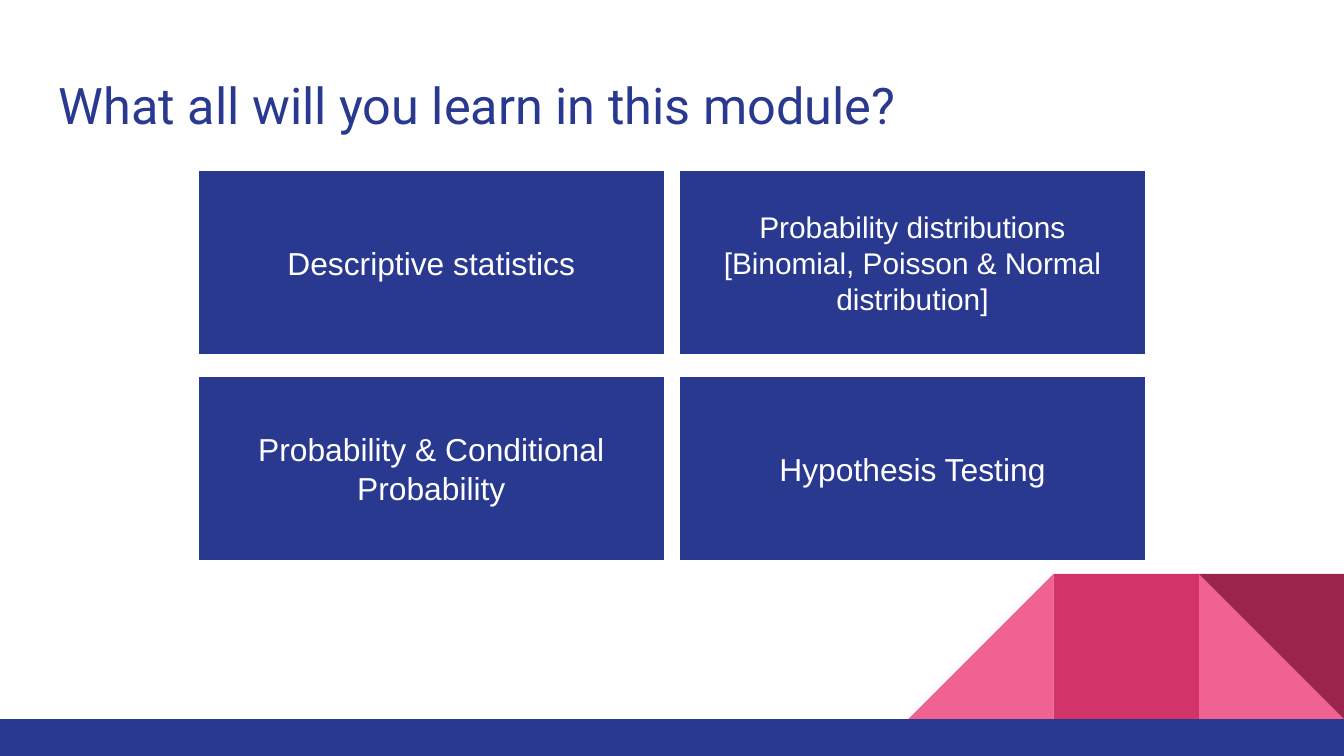
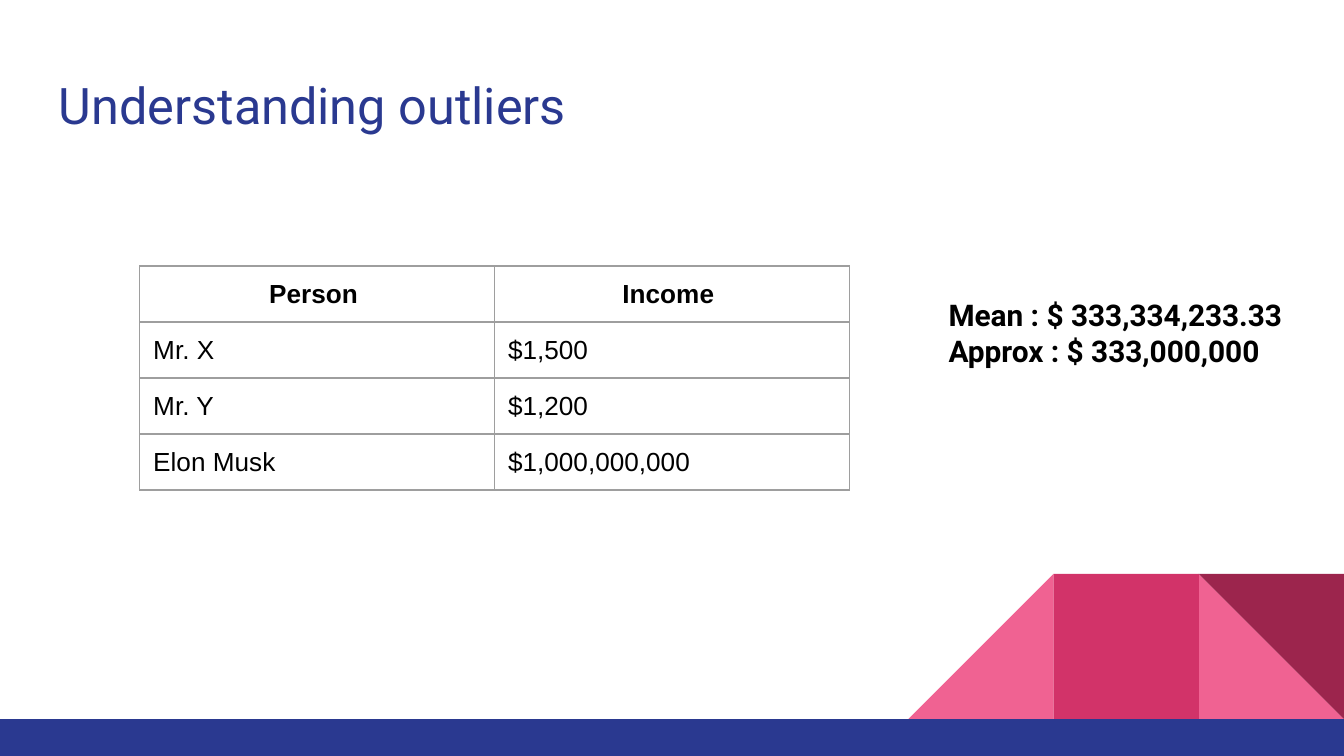
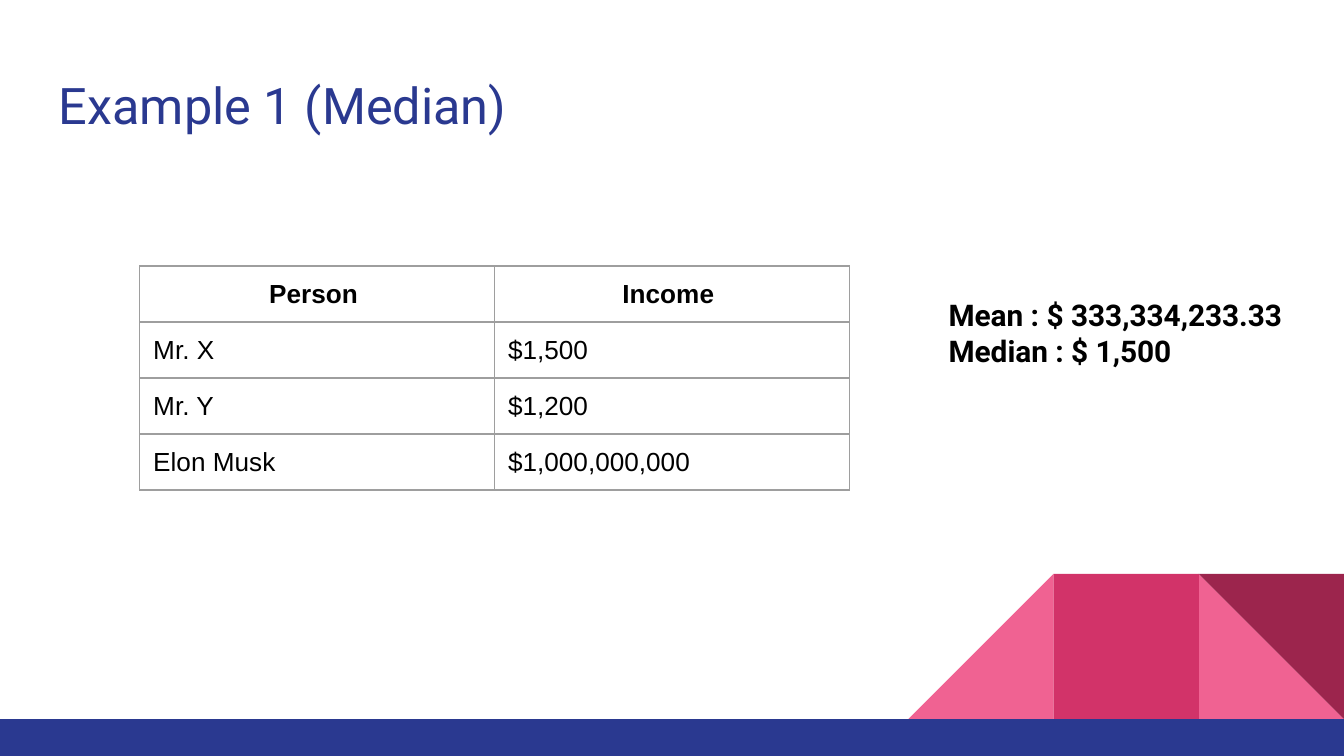
from lxml.etree import SubElement
from pptx import Presentation
from pptx.dml.color import RGBColor
from pptx.enum.shapes import MSO_SHAPE as Shape
from pptx.enum.text import MSO_ANCHOR as Anchor, PP_ALIGN as Align
from pptx.oxml.ns import qn
from pptx.util import Inches, Pt

BLUE = RGBColor(0x2A, 0x39, 0x90)
PINK = RGBColor(0xF0, 0x62, 0x92)
ROSE = RGBColor(0xD2, 0x33, 0x69)
WINE = RGBColor(0x9C, 0x25, 0x4D)
GREY = RGBColor(0x9E, 0x9E, 0x9E)
WHITE = RGBColor(0xFF, 0xFF, 0xFF)
BLACK = RGBColor(0, 0, 0)

SLIDE_W = 10
SLIDE_H = SLIDE_W * 9 / 16
BAND_TOP = 5.35
PANEL = 1.08
INSET = Inches(0.1)

TOPICS_TITLE = "What all will you learn in this module?"
# Rows of (topic, text size)
TOPICS = [
    [("Descriptive statistics", 17),
     ("Probability distributions [Binomial, Poisson & Normal distribution]", 16)],
    [("Probability & Conditional Probability", 17),
     ("Hypothesis Testing", 17)],
]

INCOMES = [
    ("Person ", "Income "),
    ("Mr. X", "$1,500"),
    ("Mr. Y", "$1,200"),
    ("Elon Musk", "$1,000,000,000"),
]
INCOME_PAGES = [
    ("Understanding outliers",
     ["Mean : $ 333,334,233.33", "Approx : $ 333,000,000"]),
    ("Example 1 (Median)",
     ["Mean : $ 333,334,233.33", "Median : $ 1,500"]),
]

# Corner panels: shape, columns from the right edge, colour, rotation, mirrored
CORNER = [
    (Shape.RIGHT_TRIANGLE, 1, PINK, 0, False),
    (Shape.RIGHT_TRIANGLE, 3, PINK, 0, True),
    (Shape.RECTANGLE, 2, ROSE, 0, False),
    (Shape.RIGHT_TRIANGLE, 1, WINE, 180, False),
]


def write(frame, lines, size, color, font="Arial", bold=False,
          align=Align.LEFT, anchor=Anchor.TOP):
    frame.word_wrap = True
    frame.vertical_anchor = anchor
    frame.margin_left = frame.margin_right = INSET
    frame.margin_top = frame.margin_bottom = INSET
    for index, line in enumerate(lines):
        para = frame.add_paragraph() if index else frame.paragraphs[0]
        para.alignment = align
        span = para.add_run()
        span.text = line
        span.font.name, span.font.size = font, Pt(size)
        span.font.bold, span.font.color.rgb = bold, color


def add_text(page, lines, left, top, width, height, **style):
    box = page.shapes.add_textbox(*map(Inches, (left, top, width, height)))
    write(box.text_frame, lines, **style)


def add_block(page, kind, left, top, width, height, fill, line=None):
    block = page.shapes.add_shape(kind, *map(Inches, (left, top, width, height)))
    block.shadow.inherit = False
    block.fill.solid()
    block.fill.fore_color.rgb = fill
    if line is None:
        block.line.fill.background()
    else:
        block.line.color.rgb = line
        block.line.width = Pt(0.75)
    return block


def add_page(deck, title):
    """Add a slide with the corner panels, bottom band and title."""
    page = deck.slides.add_slide(deck.slide_layouts[6])
    page.background.fill.solid()
    page.background.fill.fore_color.rgb = WHITE
    for kind, column, color, rotation, mirrored in CORNER:
        panel = add_block(page, kind, SLIDE_W - column * PANEL,
                          BAND_TOP - PANEL, PANEL, PANEL, color)
        panel.rotation = rotation
        if mirrored:
            panel._element.spPr.get_or_add_xfrm().set("flipH", "1")
    add_block(page, Shape.RECTANGLE, 0, BAND_TOP, SLIDE_W, SLIDE_H - BAND_TOP, BLUE)
    add_text(page, [title], 0.34, 0.45, 9.32, 0.66,
             size=27, color=BLUE, font="Roboto")
    return page


def add_topic_grid(page):
    top, width, height, gap_x, gap_y = 1.27, 3.47, 1.37, 0.11, 0.16
    left = (SLIDE_W - 2 * width - gap_x) / 2
    for row, topics in enumerate(TOPICS):
        for column, (topic, size) in enumerate(topics):
            tile = add_block(page, Shape.RECTANGLE,
                             left + column * (width + gap_x),
                             top + row * (height + gap_y),
                             width, height, BLUE, line=WHITE)
            write(tile.text_frame, [topic], size, WHITE,
                  align=Align.CENTER, anchor=Anchor.MIDDLE)


def set_borders(cell):
    properties = cell._tc.get_or_add_tcPr()
    for side in ("a:lnL", "a:lnR", "a:lnT", "a:lnB"):
        edge = SubElement(properties, qn(side), w=str(Pt(0.75)))
        fill = SubElement(edge, qn("a:solidFill"))
        SubElement(fill, qn("a:srgbClr"), val=str(GREY))


def add_income_table(page):
    columns, rows = len(INCOMES[0]), len(INCOMES)
    table = page.shapes.add_table(
        rows, columns, Inches(1.04), Inches(1.98),
        columns * Inches(2.64), rows * Pt(30)).table
    table.first_row = table.horz_banding = False
    for row, texts in enumerate(INCOMES):
        header = row == 0
        for column, text in enumerate(texts):
            cell = table.cell(row, column)
            set_borders(cell)
            cell.fill.background()
            cell.margin_left = cell.margin_right = cell.margin_top = INSET
            cell.margin_bottom = Inches(0.08)
            para = cell.text_frame.paragraphs[0]
            para.alignment = Align.CENTER if header else Align.LEFT
            span = para.add_run()
            span.text = text
            span.font.name, span.font.size = "Arial", Pt(14)
            span.font.bold, span.font.color.rgb = header, BLACK


def main():
    deck = Presentation()
    deck.slide_width, deck.slide_height = Inches(SLIDE_W), Inches(SLIDE_H)
    add_topic_grid(add_page(deck, TOPICS_TITLE))
    for title, results in INCOME_PAGES:
        page = add_page(deck, title)
        add_income_table(page)
        add_text(page, results, 6.96, 2.11, 3.04, 0.74,
                 size=16, color=BLACK, font="Roboto", bold=True)
    deck.save("out.pptx")


if __name__ == "__main__":
    main()
